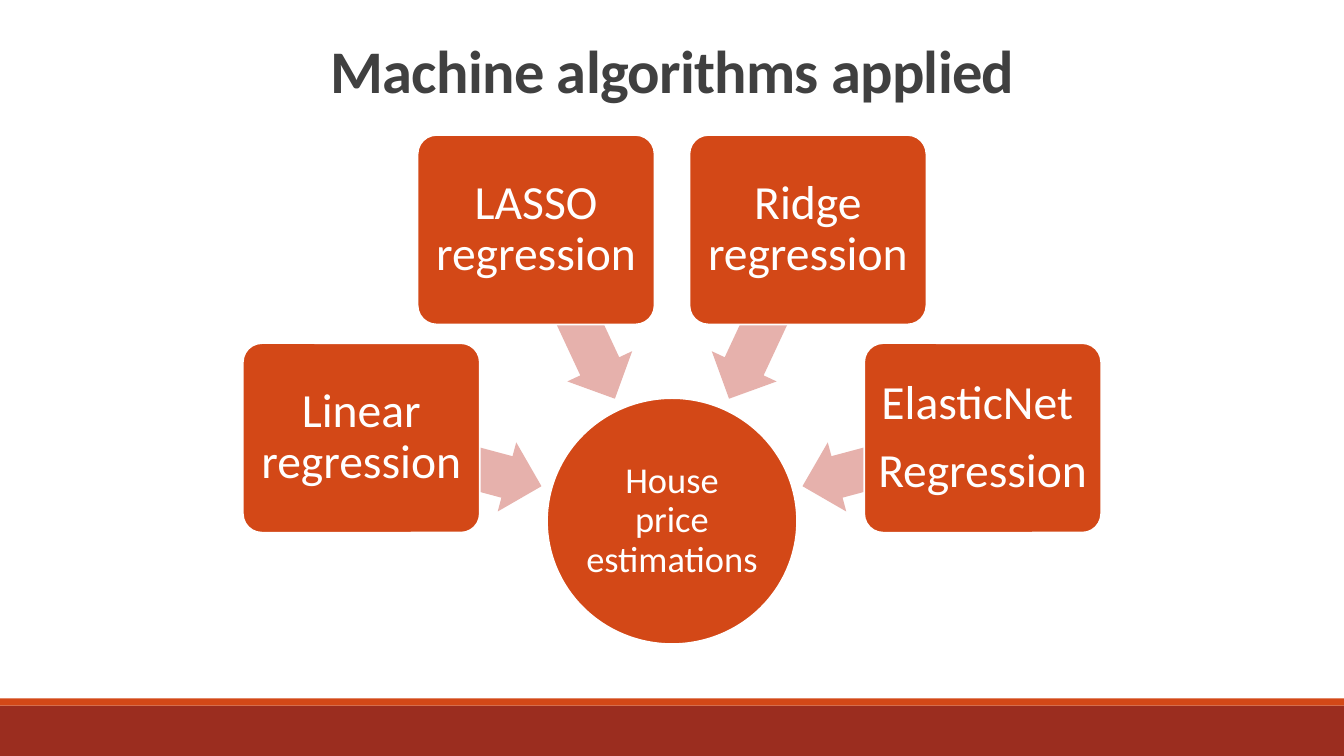
from math import cos, radians, sin

from pptx import Presentation
from pptx.dml.color import RGBColor
from pptx.enum.shapes import MSO_SHAPE
from pptx.enum.text import MSO_ANCHOR, PP_ALIGN
from pptx.util import Inches, Pt

ROUND_RECT, ELLIPSE = MSO_SHAPE.ROUNDED_RECTANGLE, MSO_SHAPE.OVAL
RECT, ARROW = MSO_SHAPE.RECTANGLE, MSO_SHAPE.LEFT_ARROW
MIDDLE, BOTTOM, CENTER = MSO_ANCHOR.MIDDLE, MSO_ANCHOR.BOTTOM, PP_ALIGN.CENTER

# Content
TITLE = "Machine algorithms applied"
HUB = ["House price estimations"]
METHODS = [["Linear regression"], ["LASSO regression"],
           ["Ridge regression"], ["ElasticNet ", "Regression"]]
FONT = "Calibri"
ORANGE, RED, PINK, WHITE, GREY = "D34817", "9B2D1F", "E6B1AC", "FFFFFF", "404040"

# Layout in inches: methods sit on an arc around the hub
W, H = 13.33, 7.5
HUB_X, HUB_Y = W / 2, 5.17
HUB_SIZE, BOX_SIZE, ARROW_SIZE = (2.48, 2.44), (2.35, 1.88), (1.84, 0.71)
BOX_RADIUS, ARROW_RADIUS = 3.19, 2.26
FIRST_ANGLE, STEP = 195, 50


def color(value):
    return RGBColor.from_string(value)


def add_text(s, lines, size, ink=WHITE, bold=False, anchor=MIDDLE,
             inset=None, leading=0.9, after=0, tracking=None):
    tf = s.text_frame
    tf.word_wrap = True
    tf.vertical_anchor = anchor
    if inset is not None:
        tf.margin_left = tf.margin_right = Inches(inset)
        tf.margin_top = tf.margin_bottom = Inches(inset)
    for i, line in enumerate(lines):
        p = tf.add_paragraph() if i else tf.paragraphs[0]
        p.alignment, p.line_spacing, p.space_after = CENTER, leading, Pt(after)
        r = p.add_run()
        r.text = line
        r.font.name, r.font.size, r.font.bold = FONT, Pt(size), bold
        r.font.color.rgb = color(ink)
        if tracking:
            r.font._element.set("spc", str(tracking))


def add_shape(slide, kind, center, size, fill, line=None):
    (x, y), (w, h) = center, size
    s = slide.shapes.add_shape(kind, Inches(x - w / 2), Inches(y - h / 2),
                               Inches(w), Inches(h))
    s.shadow.inherit = False
    s.fill.solid()
    s.fill.fore_color.rgb = color(fill)
    if line:
        s.line.color.rgb = color(line)
        s.line.width = Pt(1.25)
    else:
        s.line.fill.background()
    return s


def on_arc(angle, radius):
    a = radians(angle)
    return HUB_X + radius * cos(a), HUB_Y + radius * sin(a)


def main():
    prs = Presentation()
    prs.slide_width, prs.slide_height = Inches(W), Inches(H)
    slide = prs.slides.add_slide(prs.slide_layouts[6])

    # Footer bands
    for top, height, fill in [(7, 0.5, RED), (6.93, 0.07, ORANGE)]:
        add_shape(slide, RECT, (W / 2, top + height / 2), (W, height), fill)

    # Title
    s = slide.shapes.add_textbox(Inches(1.17), Inches(0.33), Inches(11), Inches(0.77))
    add_text(s, [TITLE], 43.2, ink=GREY, bold=True, anchor=BOTTOM,
             leading=0.85, tracking=-50)

    # Hub
    s = add_shape(slide, ELLIPSE, (HUB_X, HUB_Y), HUB_SIZE, ORANGE, WHITE)
    add_text(s, HUB, 26, inset=0.02)

    # Methods, each with an arrow towards the hub
    for i, lines in enumerate(METHODS):
        angle = FIRST_ANGLE + i * STEP
        s = add_shape(slide, ARROW, on_arc(angle, ARROW_RADIUS), ARROW_SIZE, PINK)
        s.adjustments[0], s.adjustments[1] = 0.6, 0.5
        s.rotation = angle
        s = add_shape(slide, ROUND_RECT, on_arc(angle, BOX_RADIUS), BOX_SIZE,
                      ORANGE, WHITE)
        s.adjustments[0] = 0.1
        add_text(s, lines, 34, inset=0.07, after=12)

    prs.save("out.pptx")


if __name__ == "__main__":
    main()
